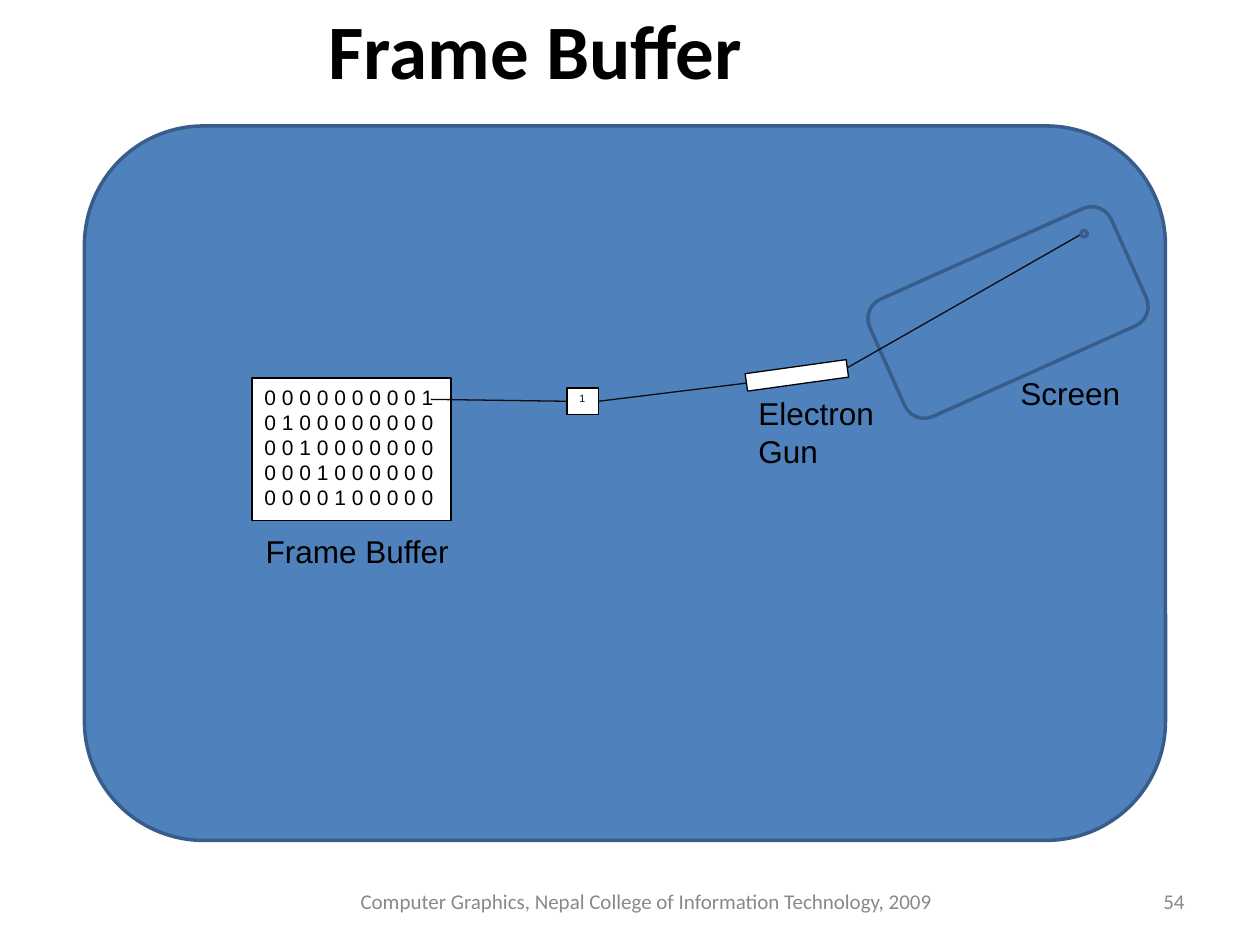
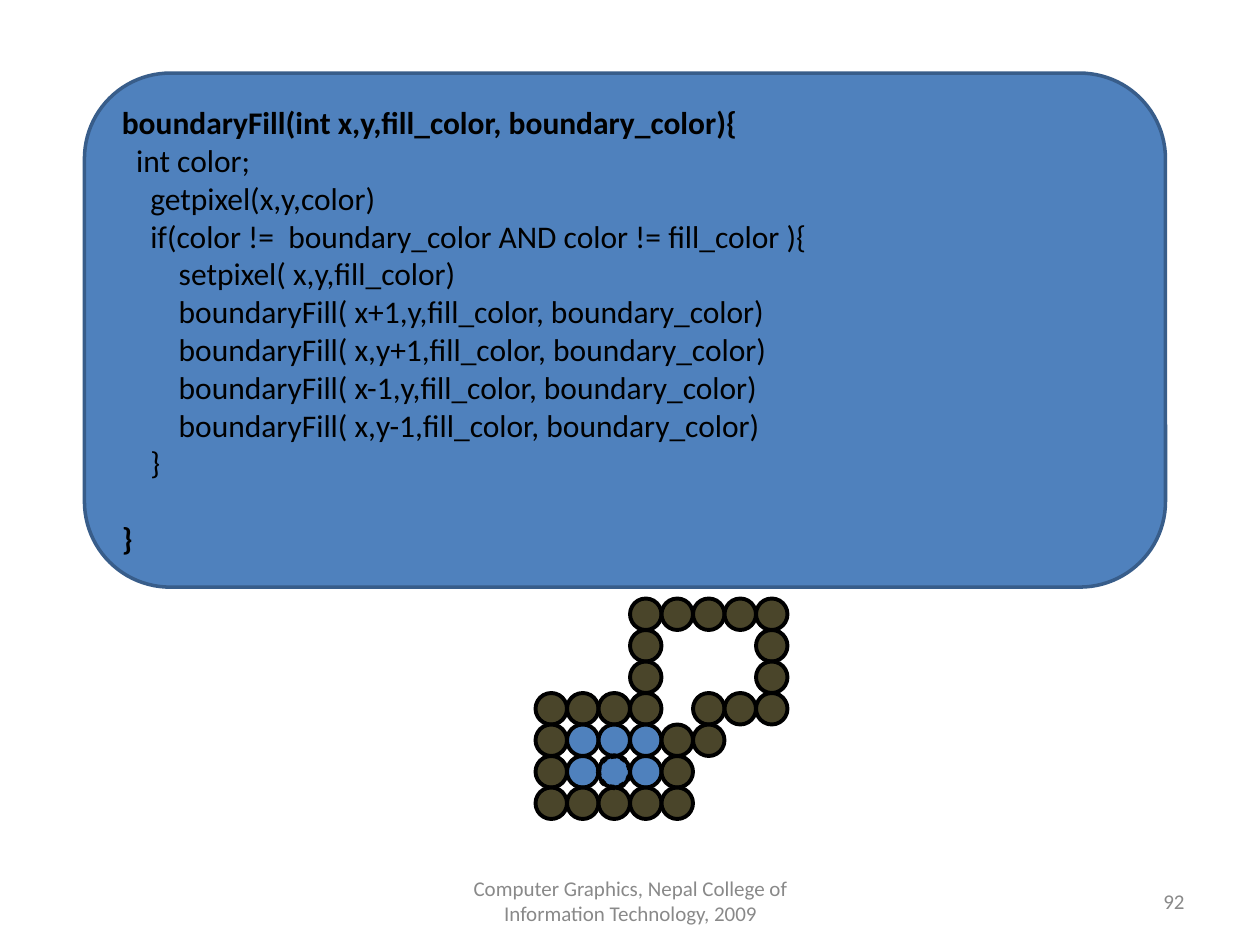
from pptx import Presentation
from pptx.dml.color import RGBColor
from pptx.enum.dml import MSO_LINE
from pptx.enum.shapes import MSO_CONNECTOR, MSO_SHAPE as SHAPE
from pptx.enum.text import MSO_ANCHOR as ANCHOR, PP_ALIGN as ALIGN
from pptx.util import Inches, Pt
from lxml.etree import SubElement
from pptx.oxml.ns import qn

BLACK, WHITE, GREY = "000000", "FFFFFF", "898989"
BLUE, DARK_BLUE, OLIVE, INK = "4F81BD", "385D8A", "4A452A", "0D0D0D"
FOOTER = "Computer Graphics, Nepal College of Information Technology, 2009"
color = RGBColor.from_string


def add_box(slide, kind, left, top, width, height, fill, line, line_width):
    shape = slide.shapes.add_shape(
        kind, Inches(left), Inches(top), Inches(width), Inches(height))
    shape.shadow.inherit = False
    if fill:
        shape.fill.solid()
        shape.fill.fore_color.rgb = color(fill)
    else:
        shape.fill.background()
    shape.line.color.rgb = color(line)
    shape.line.width = Pt(line_width)
    return shape


def write(shape, text, size, font="Calibri", ink=BLACK, bold=False,
          align=ALIGN.LEFT, anchor=ANCHOR.TOP, wrap=True):
    text_frame = shape.text_frame
    text_frame.text = text
    text_frame.word_wrap = wrap
    text_frame.vertical_anchor = anchor
    for paragraph in text_frame.paragraphs:
        paragraph.alignment = align
        paragraph.font.name = font
        paragraph.font.size = Pt(size)
        paragraph.font.bold = bold
        paragraph.font.color.rgb = color(ink)


presentation = Presentation()
presentation.slide_width, presentation.slide_height = Inches(10), Inches(7.5)
blank = presentation.slide_layouts[6]

# Both slides: blue panel, slide number and footer
slides, panels = [], []
for number, panel_top, panel_height, footer_left, footer_width in (
        ("54", 1, 5.67, 2.67, 4.92), ("92", 0.58, 4.08, 3.42, 3.17)):
    slide = presentation.slides.add_slide(blank)
    panel = add_box(slide, SHAPE.ROUNDED_RECTANGLE, 0.67, panel_top, 8.58,
                    panel_height, BLUE, DARK_BLUE, 2)
    for text, left, width, align in (
            (number, 7.17, 2.33, ALIGN.RIGHT),
            (FOOTER, footer_left, footer_width, ALIGN.CENTER)):
        box = slide.shapes.add_textbox(
            Inches(left), Inches(6.95), Inches(width), Inches(0.4))
        write(box, text, 12, ink=GREY, align=align, anchor=ANCHOR.MIDDLE)
    slides.append(slide)
    panels.append(panel)
buffer_slide, fill_slide = slides

# Frame buffer: title
title = buffer_slide.shapes.add_textbox(
    Inches(0), Inches(-0.42), Inches(8.5), Inches(1.61))
write(title, "Frame Buffer", 44, bold=True, align=ALIGN.CENTER,
      anchor=ANCHOR.MIDDLE)

# Frame buffer: bit grid, single bit and screen
bits = add_box(buffer_slide, SHAPE.RECTANGLE, 2, 3, 1.58, 1.13,
               WHITE, BLACK, 0.75)
write(bits, "0 0 0 0 0 0 0 0 0 1 0 1 0 0 0 0 0 0 0 0\n"
      "0 0 1 0 0 0 0 0 0 0\n"
      "0 0 0 1 0 0 0 0 0 0\n"
      "0 0 0 0 1 0 0 0 0 0", 12, "Arial")
bit = add_box(buffer_slide, SHAPE.RECTANGLE, 4.5, 3.08, 0.25, 0.21,
              WHITE, BLACK, 0.75)
write(bit, "1", 6, "Arial")
bit.text_frame.paragraphs[0].line_spacing = 0.8
screen = add_box(buffer_slide, SHAPE.ROUNDED_RECTANGLE, 6.95, 1.97, 2.1, 1.02,
                 BLUE, DARK_BLUE, 2)
screen.rotation = 335.9

# Frame buffer: path from the bit to the lit pixel
links = []
for x1, y1, x2, y2 in ((3.42, 3.17, 4.5, 3.19), (4.75, 3.19, 5.93, 3.04),
                       (6.67, 2.95, 8.58, 1.86)):
    link = buffer_slide.shapes.add_connector(
        MSO_CONNECTOR.STRAIGHT, Inches(x1), Inches(y1), Inches(x2), Inches(y2))
    link.line.color.rgb = color(INK)
    link.line.width = Pt(0.75)
    SubElement(link._element.spPr, qn("a:effectLst"))
    links.append(link)
links[0].end_connect(bit, 1)
links[1].begin_connect(bit, 3)
add_box(buffer_slide, SHAPE.OVAL, 8.58, 1.83, 0.05, 0.05, BLUE, DARK_BLUE, 2)
gun = add_box(buffer_slide, SHAPE.RECTANGLE, 5.92, 2.91, 0.81, 0.14,
              WHITE, BLACK, 0.75)
gun.rotation = 352.1
# The gun is tilted, so the joined end is set back on its turned side
links[1].end_connect(gun, 1)
links[1].end_x, links[1].end_y = Inches(5.93), Inches(3.04)

# Frame buffer: labels
for text, left, top, width, height in (
        ("Frame Buffer", 2.01, 4.17, 1.66, 0.4),
        ("Screen", 8, 2.92, 0.99, 0.4),
        ("Electron\nGun", 5.92, 3.08, 1.18, 0.7)):
    label = buffer_slide.shapes.add_textbox(
        Inches(left), Inches(top), Inches(width), Inches(height))
    write(label, text, 18, "Arial", wrap=False)

# Boundary fill: code
code = """boundaryFill(int x,y,fill_color, boundary_color){
  int color;
    getpixel(x,y,color)
    if(color !=  boundary_color AND color != fill_color ){
        setpixel( x,y,fill_color)
        boundaryFill( x+1,y,fill_color, boundary_color)
        boundaryFill( x,y+1,fill_color, boundary_color)
        boundaryFill( x-1,y,fill_color, boundary_color)
        boundaryFill( x,y-1,fill_color, boundary_color)
    }
}"""
write(panels[1], code, 18, anchor=ANCHOR.MIDDLE)
paragraphs = panels[1].text_frame.paragraphs
paragraphs[0].font.bold = paragraphs[-1].font.bold = True
paragraphs[-1].space_before = Pt(21.6)

# Boundary fill: pixels, # for boundary and o for filled
PIXEL, GRID_LEFT, GRID_TOP = 0.25, 4.25, 4.75
pixel_rows = ("...#####",
              "...#...#",
              "...#...#",
              "####.###",
              "#ooo##",
              "#ooo#",
              "#####")
pixel_fills = {"#": OLIVE, "o": BLUE}
for row, marks in enumerate(pixel_rows):
    for column, mark in enumerate(marks):
        if mark in pixel_fills:
            add_box(fill_slide, SHAPE.OVAL, GRID_LEFT + column * PIXEL,
                    GRID_TOP + row * PIXEL, PIXEL, PIXEL,
                    pixel_fills[mark], BLACK, 2.25)

# Boundary fill: dotted ring on the seed pixel
seed = add_box(fill_slide, SHAPE.OVAL, GRID_LEFT + 2 * PIXEL,
               GRID_TOP + 5 * PIXEL, PIXEL, PIXEL, None, BLACK, 3)
seed.line.dash_style = MSO_LINE.ROUND_DOT

presentation.save("out.pptx")
